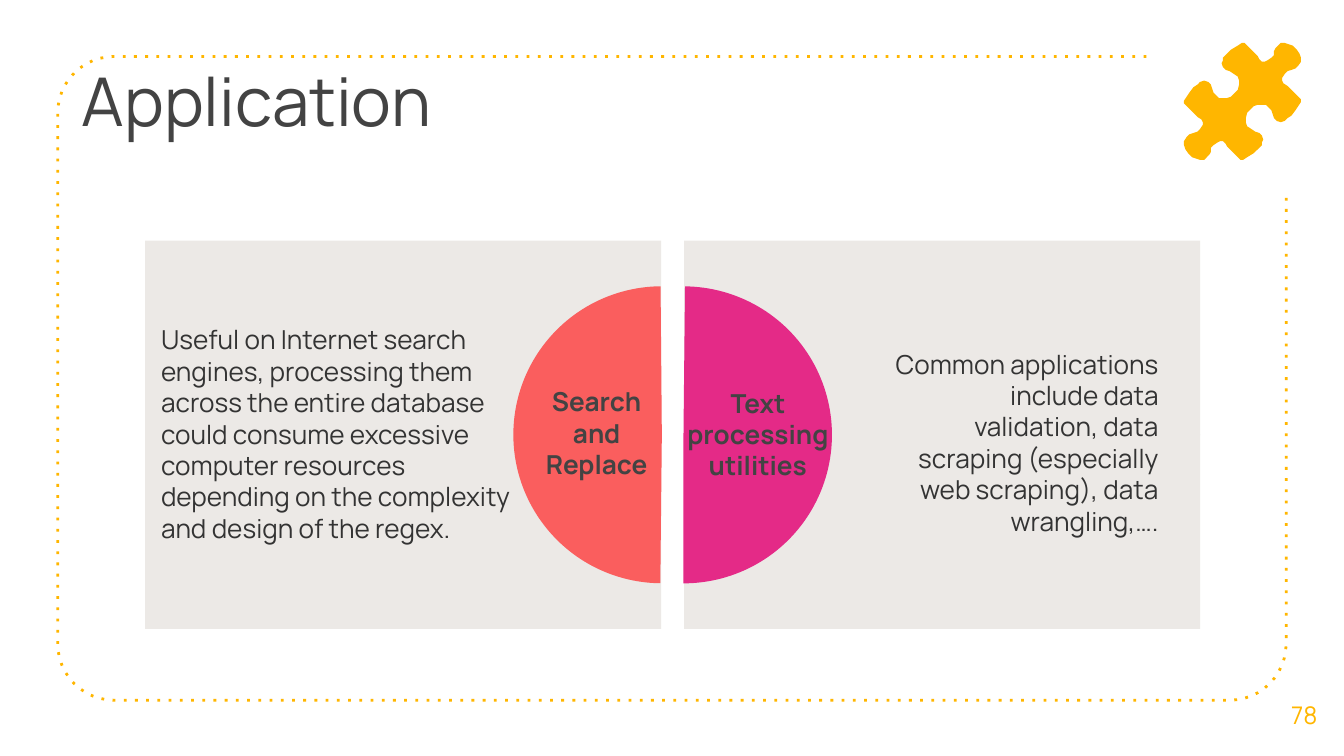
from math import cos, radians, sin

from pptx import Presentation
from pptx.dml.color import RGBColor
from pptx.enum.dml import MSO_LINE
from pptx.enum.shapes import MSO_SHAPE
from pptx.enum.text import MSO_ANCHOR, PP_ALIGN
from pptx.util import Inches, Pt

COLORS = {
    "yellow": "FFB600",
    "title": "434343",
    "body": "333333",
    "panel": "ECE9E6",
    "coral": "FA5E5E",
    "pink": "E42A87",
}

PUZZLE_CENTER = (9.245, 0.755)
PUZZLE_HALF = [
    (9.24, 0.32), (9.21, 0.34), (9.16, 0.37), (9.13, 0.4), (9.1, 0.43), (9.1, 0.45),
    (9.09, 0.47), (9.1, 0.5), (9.12, 0.52), (9.15, 0.53), (9.18, 0.55), (9.21, 0.57),
    (9.22, 0.6), (9.22, 0.63), (9.21, 0.67), (9.19, 0.69), (9.16, 0.72), (9.13, 0.73),
    (9.1, 0.73), (9.07, 0.73), (9.05, 0.71), (9.03, 0.69), (9.02, 0.66), (9.01, 0.63),
    (8.99, 0.61), (8.96, 0.6), (8.93, 0.61), (8.91, 0.63), (8.88, 0.65), (8.85, 0.69),
    (8.83, 0.72), (8.81, 0.75), (8.81, 0.77), (8.83, 0.79), (8.86, 0.82), (8.91, 0.87),
    (8.94, 0.89), (8.95, 0.91), (8.95, 0.93), (8.93, 0.96), (8.91, 0.98), (8.88, 0.99),
    (8.85, 1), (8.83, 1.02), (8.81, 1.05), (8.81, 1.08), (8.82, 1.11), (8.84, 1.14),
    (8.87, 1.17), (8.9, 1.18), (8.93, 1.19), (8.96, 1.19), (8.98, 1.17), (9, 1.15),
    (9.01, 1.13), (9.01, 1.1), (9.03, 1.08), (9.06, 1.06), (9.08, 1.05), (9.1, 1.05),
    (9.12, 1.07), (9.13, 1.09), (9.18, 1.14), (9.21, 1.17), (9.23, 1.19),
]


def rgb(name):
    """Return the named colour."""
    return RGBColor.from_string(COLORS[name])


def set_values(target, values):
    """Set attributes of the target from a dict."""
    for name, value in values.items():
        setattr(target, name, value)


def paint(shape, color):
    """Give a shape a plain fill with no line or shadow."""
    shape.shadow.inherit = False
    shape.fill.solid()
    shape.fill.fore_color.rgb = rgb(color)
    shape.line.fill.background()


def add_outline(page, points, close):
    """Draw straight segments through points given in inches."""
    corners = [(Inches(x), Inches(y)) for x, y in points]
    builder = page.shapes.build_freeform(*corners[0], scale=1.0)
    builder.add_line_segments(corners[1:], close=close)
    return builder.convert_to_shape()


def arc(center_x, center_y, radius, start):
    """Return points of a counterclockwise quarter circle."""
    angles = [radians(start - step * 7.5) for step in range(13)]
    return [(center_x + radius * cos(a), center_y + radius * sin(a)) for a in angles]


def add_frame(page):
    """Draw the dotted rounded frame, open at the puzzle piece."""
    left, right, top, bottom, radius = 0.85, 9.15, 0.84, 4.79, 0.42
    points = [(8.53, top - radius)]
    points += arc(left, top, radius, 270)
    points += arc(left, bottom, radius, 180)
    points += arc(right, bottom, radius, 90)
    points.append((right + radius, 1.46))
    frame = add_outline(page, points, False)
    frame.shadow.inherit = False
    frame.fill.background()
    frame.line.color.rgb = rgb("yellow")
    set_values(frame.line, {"width": Pt(1.5), "dash_style": MSO_LINE.ROUND_DOT})
    for dash in frame.element.xpath(".//a:prstDash"):
        dash.set("val", "dot")


def add_puzzle(page):
    """Draw the puzzle piece from one half and its half-turn."""
    center_x, center_y = PUZZLE_CENTER
    turned = [(2 * center_x - x, 2 * center_y - y) for x, y in PUZZLE_HALF]
    paint(add_outline(page, PUZZLE_HALF + turned, True), "yellow")


def add_panel(page, left, top, height):
    """Add a grey panel."""
    area = map(Inches, (left, top, 3.84, height))
    paint(page.shapes.add_shape(MSO_SHAPE.RECTANGLE, *area), "panel")


def add_half_disc(page, left, rotation, angles, color):
    """Add a pie between two angles in degrees."""
    area = map(Inches, (left, 2.13, 2.21, 2.21))
    disc = page.shapes.add_shape(MSO_SHAPE.PIE, *area)
    disc.rotation = rotation
    for index, angle in enumerate(angles):
        disc.adjustments[index] = angle * 0.6
    paint(disc, color)


def add_text(page, area, text, color, size=14, bold=False,
             align=PP_ALIGN.LEFT, anchor=MSO_ANCHOR.TOP, inset=0.05):
    """Add a wrapped text box with one paragraph."""
    box = page.shapes.add_textbox(*map(Inches, area))
    frame = box.text_frame
    set_values(frame, {
        "word_wrap": True,
        "vertical_anchor": anchor,
        "margin_top": Inches(inset),
        "margin_bottom": Inches(inset),
    })
    para = frame.paragraphs[0]
    para.alignment = align
    span = para.add_run()
    span.text = text
    set_values(span.font, {"name": "Manrope", "size": Pt(size), "bold": bold})
    span.font.color.rgb = rgb(color)


def main():
    """Build the slide and save it."""
    deck = Presentation()
    width = Inches(10)
    set_values(deck, {"slide_width": width, "slide_height": width * 9 // 16})
    page = deck.slides.add_slide(deck.slide_layouts[6])

    add_frame(page)
    add_text(page, (0.51, 0.34, 7.97, 0.94), "Application", "title", 36, inset=0.1)
    add_text(page, (9.41, 5.02, 0.59, 0.6), "78", "yellow", 13,
             align=PP_ALIGN.CENTER, anchor=MSO_ANCHOR.MIDDLE, inset=0.1)

    add_panel(page, 1.08, 1.79, 2.89)
    for top in (1.79, 3.23):
        add_panel(page, 5.09, top, 1.45)
    add_half_disc(page, 3.98, 180, (90.6, 270), "pink")
    add_half_disc(page, 3.82, 314.7, (135.89, 314.81), "coral")
    add_puzzle(page)

    add_text(page, (1.1, 2.36, 2.8, 2.22),
             "Useful on Internet search engines, processing them across the entire "
             "database could consume excessive computer resources depending on the "
             "complexity and design of the regex.", "body")
    add_text(page, (6.51, 2.54, 2.21, 1.51),
             "Common applications include data validation, data scraping "
             "(especially web scraping), data wrangling,….", "body",
             align=PP_ALIGN.RIGHT)
    labels = [
        ((3.91, 2.82, 1.06, 0.81), "Search and Replace"),
        ((5.01, 2.83, 1.26, 0.81), "Text processing utilities"),
    ]
    for area, text in labels:
        add_text(page, area, text, "title", bold=True, align=PP_ALIGN.CENTER)

    deck.save("out.pptx")


if __name__ == "__main__":
    main()
